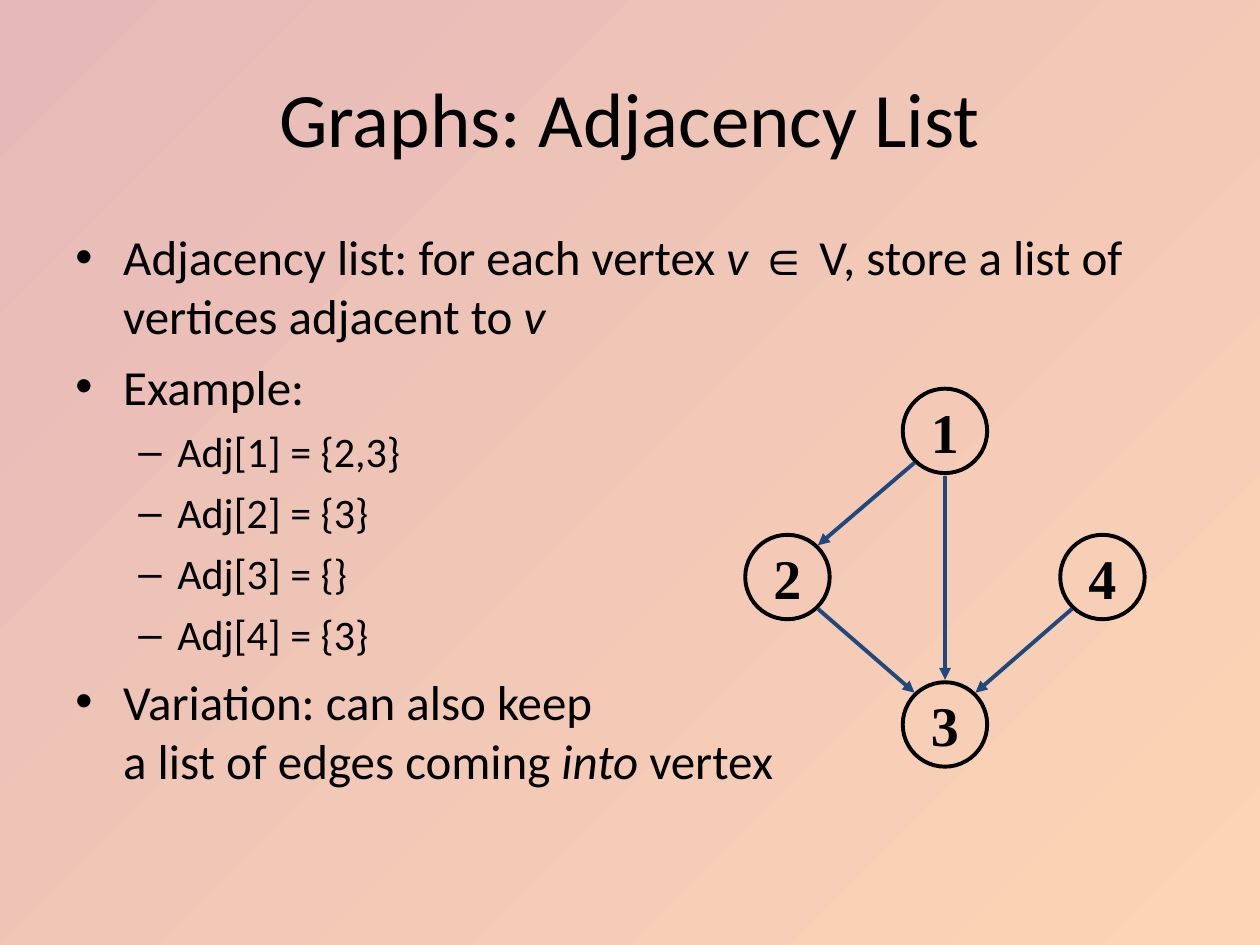
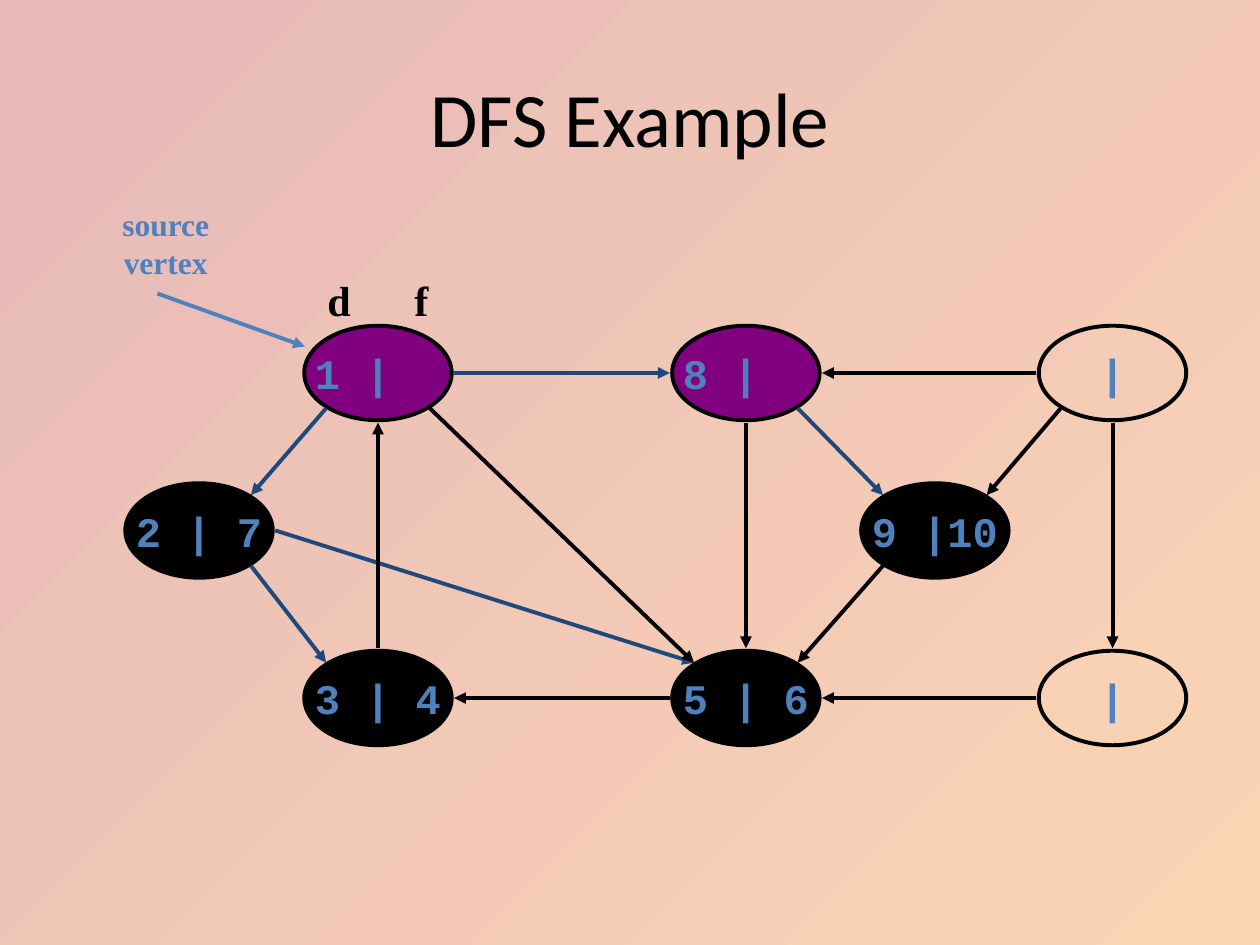
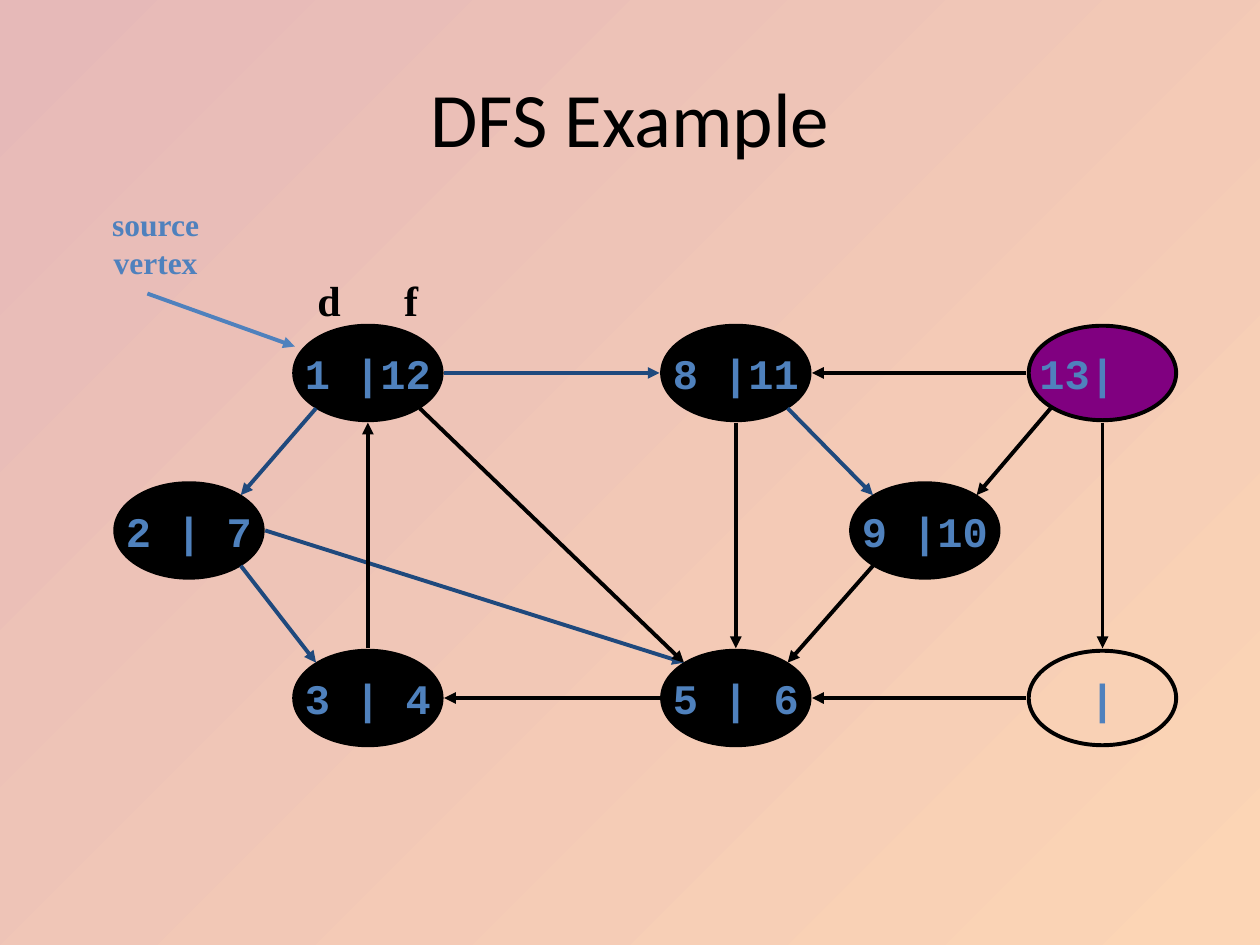
from pptx import Presentation
from pptx.dml.color import RGBColor as Rgb
from pptx.enum.shapes import MSO_CONNECTOR as Conn, MSO_SHAPE as Kind
from pptx.enum.text import MSO_ANCHOR as Anchor, PP_ALIGN as Align
from pptx.oxml.ns import qn
from pptx.util import Inches, Pt
from lxml.etree import SubElement as Sub


class Look:
    black = Rgb.from_string("000000")
    navy = Rgb.from_string("1F497D")
    blue = Rgb.from_string("4F81BD")
    purple = Rgb.from_string("800080")
    back = [Rgb.from_string("E6B9B8"), Rgb.from_string("FCD5B5")]
    width = Pt(2.25)
    title = {"name": "Calibri", "size": Pt(44)}
    body = [{"name": "Calibri", "size": Pt(28)},
            {"name": "Calibri", "size": Pt(24)}]
    digit = {"name": "Times New Roman", "size": Pt(32), "bold": True}
    times = {"name": "Courier New", "size": Pt(24), "bold": True}
    head = {"name": "Times New Roman", "size": Pt(24), "bold": True}
    note = {"name": "Times New Roman", "size": Pt(18), "bold": True}


def say(para, text, form, hue=Look.black):
    """Add text to a paragraph, with a line break at each newline."""
    for i, part in enumerate(text.split("\n")):
        if i:
            para.add_line_break()
        run = para.add_run()
        run.text = part
        for key, value in form.items():
            setattr(run.font, key, value)
        run.font.color.rgb = hue


# Bullets: level and runs, each run with its changes of format
ITAL = {"italic": True}
BODY = [
    (0, [("Adjacency list: for each vertex ", {}), ("v ", ITAL),
         ("∈", {"name": "Arial"}),
         (" V, store a list of vertices adjacent to ", {}), ("v", ITAL)]),
    (0, [("Example:", {})]),
    (1, [("Adj[1] = {2,3}", {})]),
    (1, [("Adj[2] = {3}", {})]),
    (1, [("Adj[3] = {}", {})]),
    (1, [("Adj[4] = {3}", {})]),
    (0, [("Variation: can also keep \na list of edges coming ", {}),
         ("into ", ITAL), ("vertex", {})]),
]
LEVELS = [("•", 0.38, 0.38, 7), ("–", 0.81, 0.31, 6)]

# Places on the rim of a node, as shares of its half width and height
GAP = 0.02
RIM = {"n": (0, -1), "s": (0, 1), "w": (-1, 0), "e": (1, 0),
       "nw": (-0.68, -0.71), "ne": (0.68, -0.71),
       "sw": (-0.68, 0.71), "se": (0.68, 0.71)}

# Node centres, and edges as node, rim place, node, rim place, colour
LIST = {
    "spots": {"1": (7.5, 3.42), "2": (6.25, 4.58),
              "4": (8.75, 4.58), "3": (7.5, 5.75)},
    "edges": [("1", "sw", "2", "ne", Look.navy),
              ("2", "se", "3", "nw", Look.navy),
              ("4", "sw", "3", "ne", Look.navy),
              ("1", "s", "3", "n", Look.navy)],
    "size": (0.67, 0.67), "form": Look.digit, "hue": Look.black,
}
DFS = {
    "spots": {"a": (3, 2.96), "b": (5.92, 2.96), "c": (8.83, 2.96),
              "d": (8.83, 5.54), "e": (5.92, 5.54), "f": (3, 5.54),
              "g": (1.58, 4.21), "h": (7.42, 4.21)},
    "edges": [("a", "sw", "g", "ne", Look.navy),
              ("g", "se", "f", "nw", Look.navy),
              ("g", "e", "e", "nw", Look.navy),
              ("e", "w", "f", "e", Look.black),
              ("f", "n", "a", "s", Look.black),
              ("a", "se", "e", "nw", Look.black),
              ("b", "s", "e", "n", Look.black),
              ("a", "e", "b", "w", Look.navy),
              ("c", "w", "b", "e", Look.black),
              ("b", "se", "h", "nw", Look.navy),
              ("c", "sw", "h", "ne", Look.black),
              ("c", "s", "d", "n", Look.black),
              ("d", "w", "e", "e", Look.black),
              ("h", "sw", "e", "ne", Look.black)],
    "size": (1.17, 0.75), "form": Look.times, "hue": Look.blue,
}

# Slides: title, graph, node labels, shift to the right
SLIDES = [
    ("Graphs: Adjacency List", LIST, ["1", "2", "4", "3"], 0),
    ("DFS Example", DFS, ["1 |", "8 |", "|", "|", "5 | 6", "3 | 4",
                          "2 | 7", "9 |10"], 0),
    ("DFS Example", DFS, ["1 |12", "8 |11", "13|", "|", "5 | 6", "3 | 4",
                          "2 | 7", "9 |10"], -0.08),
]

deck = Presentation()
deck.slide_width, deck.slide_height = Inches(10), Inches(7.5)

# Shared background
fill = deck.slide_master.background.fill
fill.gradient()
fill.gradient_angle = 315
for stop, hue in zip(fill.gradient_stops, Look.back):
    stop.color.rgb = hue

for title, graph, labels, shift in SLIDES:
    slide = deck.slides.add_slide(deck.slide_layouts[5])
    shapes = slide.shapes

    # Title
    top = shapes.title
    top.left, top.top = Inches(0.5), Inches(0.3)
    top.width, top.height = Inches(9), Inches(1.25)
    top.text_frame.vertical_anchor = Anchor.MIDDLE
    para = top.text_frame.paragraphs[0]
    para.alignment = Align.CENTER
    say(para, title, Look.title)

    # Bullets
    if graph is LIST:
        box = shapes.add_textbox(Inches(0.5), Inches(1.75),
                                 Inches(9), Inches(4.95))
        frame = box.text_frame
        frame.word_wrap = True
        for i, (level, runs) in enumerate(BODY):
            mark, left, hang, space = LEVELS[level]
            para = frame.add_paragraph() if i else frame.paragraphs[0]
            props = para._p.get_or_add_pPr()
            props.set("marL", str(Inches(left)))
            props.set("indent", str(-Inches(hang)))
            Sub(Sub(props, qn("a:buClr")), qn("a:srgbClr"),
                val=str(Look.black))
            Sub(props, qn("a:buFont"), typeface="Arial")
            Sub(props, qn("a:buChar"), char=mark)
            para.level = level
            para.space_before = Pt(space if i else 0)
            for text, form in runs:
                say(para, text, Look.body[level] | form)

    # Nodes: black when finished, purple when open, clear when unseen
    wide, high = graph["size"]
    for (x, y), label in zip(graph["spots"].values(), labels):
        node = shapes.add_shape(
            Kind.OVAL, Inches(x + shift - wide / 2), Inches(y - high / 2),
            Inches(wide), Inches(high))
        node.shadow.inherit = False
        node.line.color.rgb = Look.black
        node.line.width = Look.width
        if len(label) == 1:
            node.fill.background()
        else:
            node.fill.solid()
            node.fill.fore_color.rgb = (
                Look.purple if label.endswith("|") else Look.black)
        frame = node.text_frame
        frame.word_wrap = False
        frame.vertical_anchor = Anchor.MIDDLE
        frame.margin_left = 0
        frame.margin_right = Inches(0.4 if len(label) == 3 else 0)
        para = frame.paragraphs[0]
        para.alignment = Align.CENTER
        say(para, label, graph["form"], graph["hue"])

    # Edges, with the arrow to the source vertex
    lines = []
    for start, out, end, into, hue in graph["edges"]:
        ends = []
        for name, side in ((start, out), (end, into)):
            (x, y), (dx, dy) = graph["spots"][name], RIM[side]
            ends += [x + dx * (wide / 2 + GAP), y + dy * (high / 2 + GAP)]
        lines.append((ends, hue))
    if graph is DFS:
        lines.append(([1.25, 2.33, 2.42, 2.75], Look.blue))
    for (x1, y1, x2, y2), hue in lines:
        edge = shapes.add_connector(
            Conn.STRAIGHT, Inches(x1 + shift), Inches(y1),
            Inches(x2 + shift), Inches(y2))
        edge.line.color.rgb = hue
        edge.line.width = Look.width
        Sub(edge.line._get_or_add_ln(), qn("a:tailEnd"), type="triangle")
        Sub(edge._element.spPr, qn("a:effectLst"))

    # Notes on the source vertex and its two times
    if graph is DFS:
        box = shapes.add_textbox(Inches(0.87 + shift), Inches(1.58),
                                 Inches(0.89), Inches(0.7))
        box.text_frame.word_wrap = False
        para = box.text_frame.paragraphs[0]
        para.alignment = Align.CENTER
        say(para, "source\nvertex", Look.note, Look.blue)

        box = shapes.add_textbox(Inches(2.5 + shift), Inches(2),
                                 Inches(1.17), Inches(0.75))
        box.text_frame.word_wrap = True
        box.text_frame.vertical_anchor = Anchor.MIDDLE
        para = box.text_frame.paragraphs[0]
        tabs = Sub(para._p.get_or_add_pPr(), qn("a:tabLst"))
        Sub(tabs, qn("a:tab"), pos=str(Inches(0.69)), algn="l")
        say(para, "d\tf", Look.head)

deck.save("out.pptx")
